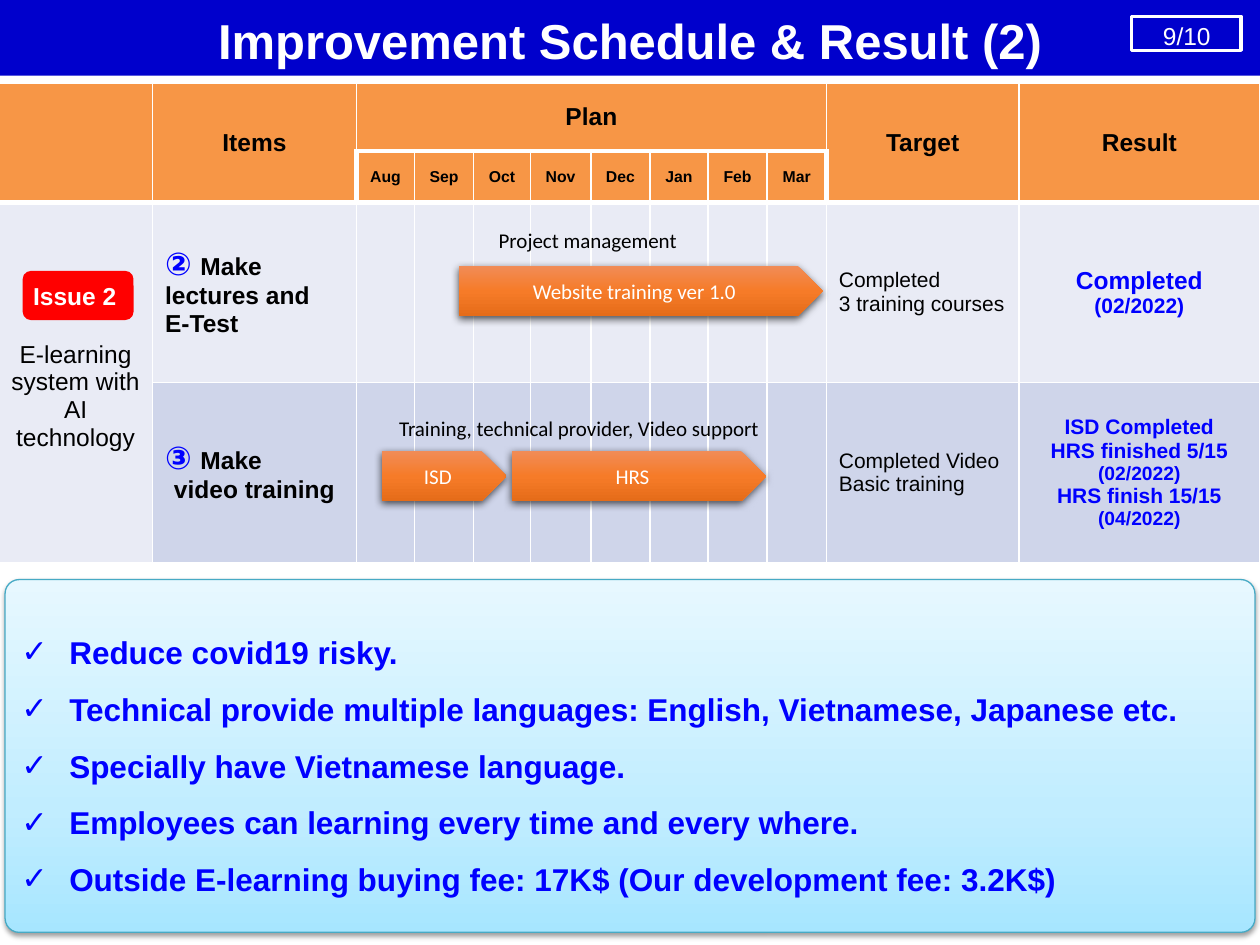
import pptx
import pptx.util
import pptx.dml.color
import pptx.enum.shapes
import pptx.enum.text
import pptx.oxml
import pptx.oxml.ns

Inches, Pt = pptx.util.Inches, pptx.util.Pt
Rgb = pptx.dml.color.RGBColor.from_string
Kind = pptx.enum.shapes.MSO_SHAPE
Align = pptx.enum.text.PP_ALIGN
Anchor = pptx.enum.text.MSO_ANCHOR
qn, parse = pptx.oxml.ns.qn, pptx.oxml.parse_xml
NS = pptx.oxml.ns.nsdecls("a")

HUE = {"navy": "0000CC", "blue": "0000FF", "white": "FFFFFF", "black": "000000",
       "head": "F79646", "light": "E9EBF5", "dark": "CFD5EA", "red": "FF0000",
       "edge": "46AAC5"}
ORANGE = [(0, "F18C57"), (50, "F67B28"), (100, "E56C19")]
SKY = [(0, "A7E6FF"), (35, "C1EDFF"), (100, "E7F8FF")]


def write(frame, lines, size, hue="black", bold=False, align=Align.CENTER, face="Arial"):
    """Fill a text frame; a line is a text or a (text, size) pair."""
    frame.word_wrap = True
    frame.vertical_anchor = Anchor.MIDDLE
    for i, line in enumerate(lines):
        text, pts = (line, size) if isinstance(line, str) else line
        para = frame.paragraphs[0] if i == 0 else frame.add_paragraph()
        para.add_run().text = text
        para.alignment = align
        font = para.font
        font.name, font.size, font.bold = face, Pt(pts), bold
        font.color.rgb = Rgb(HUE[hue])


def paint(shape, stops, angle, alpha, blur, dist):
    """Give a shape a gradient fill and a soft shadow below it."""
    shape.fill.gradient()
    shape.fill.gradient_angle = angle
    grad = shape._element.spPr.find(qn("a:gradFill")).find(qn("a:gsLst"))
    for old in list(grad):
        grad.remove(old)
    for pos, color in stops:
        grad.append(parse(f'<a:gs {NS} pos="{pos * 1000}"><a:srgbClr val="{color}"/></a:gs>'))
    shape.shadow.inherit = False
    shape._element.spPr.find(qn("a:effectLst")).append(parse(
        f'<a:outerShdw {NS} blurRad="{Pt(blur)}" dist="{Pt(dist)}" dir="5400000" '
        f'rotWithShape="0"><a:srgbClr val="000000"><a:alpha val="{alpha * 1000}"/>'
        '</a:srgbClr></a:outerShdw>'))


deck = pptx.Presentation()
deck.slide_width, deck.slide_height = Inches(10), Inches(7.5)
slide = deck.slides.add_slide(deck.slide_layouts[1])
shapes = slide.shapes
title, body = slide.placeholders

# Title bar and page number
bar = shapes.add_shape(Kind.RECTANGLE, 0, 0, Inches(10), Inches(0.6))
page = shapes.add_shape(Kind.RECTANGLE, Inches(8.98), Inches(0.13), Inches(0.87), Inches(0.27))
for box in (bar, page):
    box.shadow.inherit = False
    box.fill.solid()
    box.fill.fore_color.rgb = Rgb(HUE["navy"])
bar.line.fill.background()
page.line.color.rgb = Rgb(HUE["white"])
page.line.width = Pt(1.92)
frame = page.text_frame
write(frame, ["9/10"], 14, "white", align=Align.LEFT)
frame.vertical_anchor = Anchor.TOP
frame.margin_left, frame.margin_top = Inches(0.25), Inches(0.04)
frame.margin_right = frame.margin_bottom = 0

title.left, title.top, title.width, title.height = 0, Inches(0.06), Inches(10), Inches(0.49)
frame = title.text_frame
frame.margin_left = frame.margin_right = frame.margin_bottom = 0
frame.margin_top = Inches(0.02)
frame.auto_size = pptx.enum.text.MSO_AUTO_SIZE.NONE
write(frame, ["Improvement Schedule & Result (2)"], 28, "white", True)
shapes._spTree.append(title._element)

# Schedule table: borders and fills
wide = [1.22, 1.62, 0.46, 0.47, 0.45, 0.48, 0.47, 0.46, 0.47, 0.47, 1.53, 1.91]
high = [0.54, 0.35, 1.43, 1.43]
table = shapes.add_table(4, 12, Inches(-0.01), Inches(0.66),
                         Inches(sum(wide)), Inches(sum(high))).table
for col, width in zip(table.columns, wide):
    col.width = Inches(width)
for row, height in zip(table.rows, high):
    row.height = Inches(height)
fills = ["head", "head", "light", "dark"]
for r in range(4):
    for c in range(12):
        cell = table.cell(r, c)
        month = r == 1 and 2 <= c <= 9
        thick = {"L": month and c == 2, "R": month and c == 9,
                 "T": month or r == 2, "B": r == 0}
        props = cell._tc.get_or_add_tcPr()
        for side, heavy in thick.items():
            props.append(parse(
                f'<a:ln{side} {NS} w="{Pt(3 if heavy else 1)}"><a:solidFill>'
                f'<a:srgbClr val="{HUE["white"]}"/></a:solidFill></a:ln{side}>'))
        cell.fill.solid()
        cell.fill.fore_color.rgb = Rgb(HUE["light" if c == 0 and r > 1 else fills[r]])
        cell.vertical_anchor = Anchor.MIDDLE
for c in (0, 1, 10, 11):
    table.cell(0, c).merge(table.cell(1, c))
table.cell(0, 2).merge(table.cell(0, 9))
table.cell(2, 0).merge(table.cell(3, 0))

# Schedule table: wording
for c, text in [(1, "Items"), (2, "Plan"), (10, "Target"), (11, "Result")]:
    write(table.cell(0, c).text_frame, [text], 14, bold=True)
months = ["Aug", "Sep", "Oct", "Nov", "Dec", "Jan", "Feb", "Mar"]
for c, text in enumerate(months, 2):
    write(table.cell(1, c).text_frame, [text], 9, bold=True)
issue = table.cell(2, 0)
issue.margin_top = Inches(0.27)
write(issue.text_frame, ["E-learning system with AI technology"], 14)

tasks = [
    (["② ", "lectures and", "E-Test"], ["Completed", "3 training courses"],
     [("Completed", 14), "(02/2022)"]),
    (["③ ", "video training"], ["Completed Video", "Basic training"],
     ["ISD Completed", "HRS finished 5/15", ("(02/2022)", 11),
      "HRS finish 15/15", ("(04/2022)", 11)]),
]
for r, (item, target, result) in enumerate(tasks, 2):
    frame = table.cell(r, 1).text_frame
    write(frame, item, 14, bold=True, align=Align.LEFT)
    first = frame.paragraphs[0]
    mark = first.runs[0].font
    mark.size, mark.color.rgb = Pt(18), Rgb(HUE["blue"])
    first.add_run().text = "Make"
    write(table.cell(r, 10).text_frame, target, 12, align=Align.LEFT)
    write(table.cell(r, 11).text_frame, result, 12, "blue", True)
table.cell(3, 1).text_frame.paragraphs[1].alignment = Align.CENTER

# Plan arrows and their captions
for text, x, y, width in [("ISD", 3.03, 3.58, 0.99), ("HRS", 4.06, 3.58, 2.02),
                          ("Website training ver 1.0", 3.64, 2.11, 2.89)]:
    arrow = shapes.add_shape(Kind.PENTAGON, Inches(x), Inches(y), Inches(width), Inches(0.4))
    arrow.line.fill.background()
    paint(arrow, ORANGE, 270, 63, 4.5, 1.5)
    write(arrow.text_frame, [text], 12, "white", face="Calibri")
for text, x, y, width in [("Training, technical provider, Video support", 3.07, 3.25, 3.24),
                          ("Project management", 3.86, 1.76, 2.34)]:
    note = shapes.add_textbox(Inches(x), Inches(y), Inches(width), Inches(0.3))
    write(note.text_frame, [text], 12, align=Align.LEFT, face="Calibri")

# Benefits panel with check list
panel = shapes.add_shape(Kind.ROUNDED_RECTANGLE, Inches(0.04), Inches(4.6),
                         Inches(9.92), Inches(2.8))
panel.adjustments[0] = 0.04
panel.line.color.rgb = Rgb(HUE["edge"])
panel.line.width = Pt(0.75)
paint(panel, SKY, 90, 38, 3.1, 1.6)
body.left, body.top, body.width, body.height = panel.left, panel.top, panel.width, panel.height
shapes._spTree.append(body._element)
frame = body.text_frame
frame.margin_left = Inches(0.13)
frame.auto_size = pptx.enum.text.MSO_AUTO_SIZE.NONE
write(frame, [
    "Reduce covid19 risky.",
    "Technical provide multiple languages: English, Vietnamese, Japanese etc.",
    "Specially have Vietnamese language.",
    "Employees can learning every time and every where.",
    "Outside E-learning buying fee: 17K$ (Our development fee: 3.2K$)",
], 18, "blue", True, Align.LEFT)
for para in frame.paragraphs:
    para.line_spacing, para.space_before = 1.5, Pt(0)
    props = para._p.get_or_add_pPr()
    props.set("marL", str(Inches(0.38)))
    props.set("indent", str(Inches(-0.38)))
    props.find(qn("a:defRPr")).addprevious(parse(f'<a:buChar {NS} char="✓"/>'))

# Issue badge
badge = shapes.add_shape(Kind.ROUNDED_RECTANGLE, Inches(0.18), Inches(2.15),
                         Inches(0.88), Inches(0.39))
badge.shadow.inherit = False
badge.fill.solid()
badge.fill.fore_color.rgb = Rgb(HUE["red"])
badge.line.fill.background()
frame = badge.text_frame
frame.margin_left = frame.margin_right = frame.margin_top = frame.margin_bottom = 0
write(frame, ["Issue 2 "], 14, "white", True)

deck.save("out.pptx")
